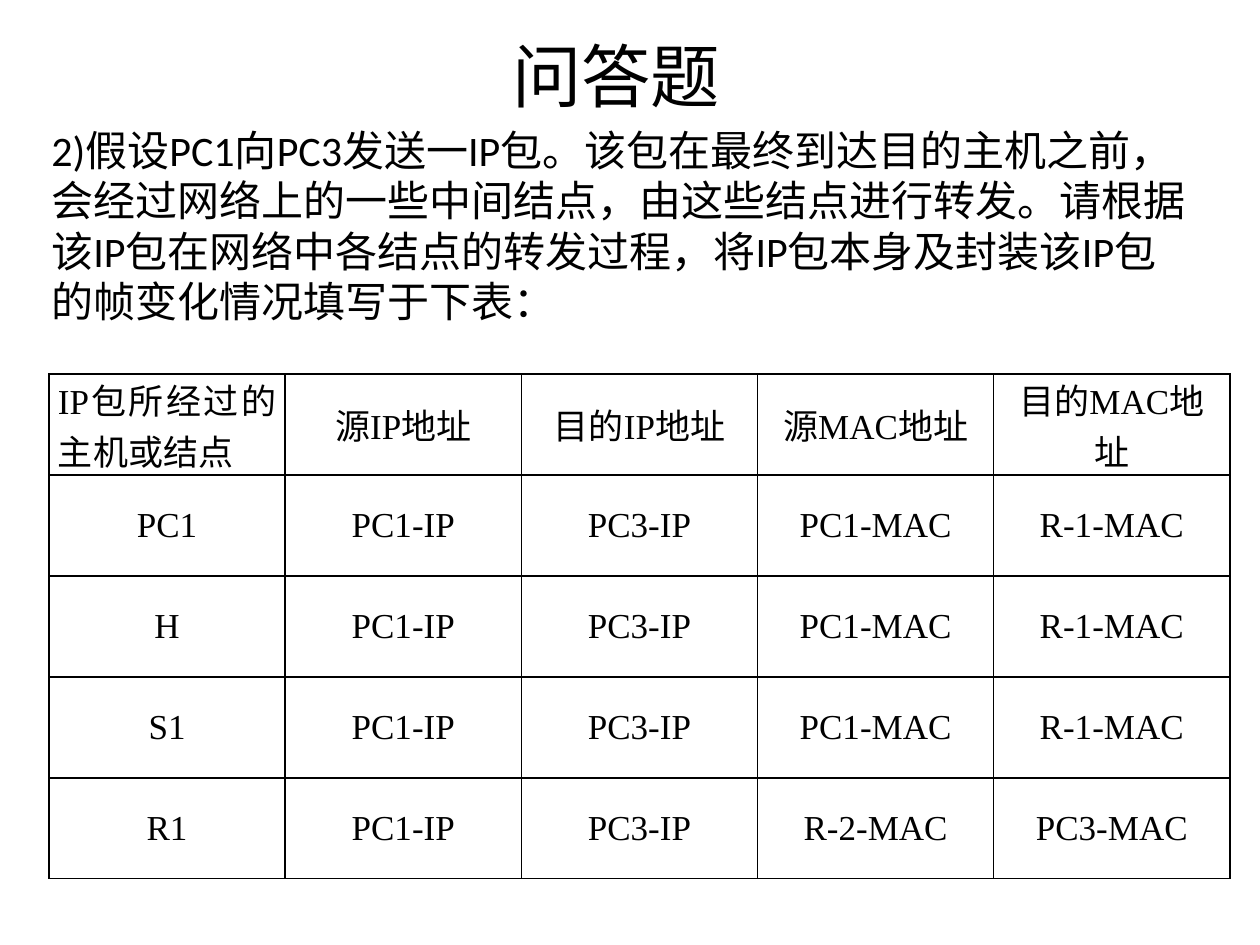
from lxml.etree import SubElement
from pptx import Presentation
from pptx.dml.color import RGBColor
from pptx.enum.text import MSO_ANCHOR, PP_ALIGN
from pptx.oxml import parse_xml
from pptx.oxml.ns import nsdecls, qn
from pptx.util import Emu, Pt

PX = 914400 // 126
BLACK = "000000"


def px(n):
    return Emu(n * PX)


def color(value):
    return RGBColor.from_string(value)


class SlideBuilder:
    def __init__(self, s, heading_font, table_font):
        self.s = s
        self.heading_font = heading_font
        self.table_font = table_font

    def style(self, p, font, size, align):
        p.font.name = font
        p.font.size = Pt(size)
        p.font.color.rgb = color(BLACK)
        p.alignment = align

    def text(self, box, text, size, align=PP_ALIGN.LEFT, anchor=MSO_ANCHOR.TOP):
        tf = self.s.shapes.add_textbox(*map(px, box)).text_frame
        tf.word_wrap = True
        tf.vertical_anchor = anchor
        p = tf.paragraphs[0]
        r = p.add_run()
        r.text = text
        self.style(p, self.heading_font, size, align)
        # East Asian glyphs follow the same font, which sets the line height
        ea = SubElement(r._r.get_or_add_rPr(), qn("a:ea"))
        ea.set("typeface", self.heading_font)

    def border(self, cell, width=1):
        tcPr = cell._tc.get_or_add_tcPr()
        for i, side in enumerate(("lnL", "lnR", "lnT", "lnB")):
            tcPr.insert(i, parse_xml(
                f'<a:{side} {nsdecls("a")} w="{Pt(width)}"><a:solidFill>'
                f'<a:srgbClr val="{BLACK}"/></a:solidFill></a:{side}>'))

    def table(self, left, top, width, row_height, rows, size):
        box = (left, top, width, row_height * len(rows))
        table = self.s.shapes.add_table(len(rows), len(rows[0]), *map(px, box)).table
        for i, values in enumerate(rows):
            for j, value in enumerate(values):
                cell = table.cell(i, j)
                corner = i == j == 0
                cell.text = value
                cell.fill.background()
                cell.margin_left = cell.margin_right = px(9)
                cell.margin_top = cell.margin_bottom = 0
                cell.vertical_anchor = MSO_ANCHOR.TOP if corner else MSO_ANCHOR.MIDDLE
                p = cell.text_frame.paragraphs[0]
                self.style(p, self.table_font, size,
                           PP_ALIGN.JUSTIFY if corner else PP_ALIGN.CENTER)
                p.font.bold = False
                self.border(cell)


def main():
    prs = Presentation()
    prs.slide_width, prs.slide_height = px(1260), px(945)
    s = prs.slides.add_slide(prs.slide_layouts[6])
    builder = SlideBuilder(s, "Calibri", "Times New Roman")

    builder.text((49, 29, 1134, 91), "问答题", 39.6, PP_ALIGN.CENTER, MSO_ANCHOR.MIDDLE)
    builder.text((39, 118, 1162, 777),
                 "2)假设PC1向PC3发送一IP包。该包在最终到达目的主机之前，"
                 "会经过网络上的一些中间结点，由这些结点进行转发。"
                 "请根据该IP包在网络中各结点的转发过程，"
                 "将IP包本身及封装该IP包的帧变化情况填写于下表：", 24)

    header = ["IP包所经过的主机或结点", "源IP地址", "目的IP地址", "源MAC地址", "目的MAC地址"]
    hops = [(node, "PC1-MAC", "R-1-MAC") for node in ("PC1", "H", "S1")]
    hops.append(("R1", "R-2-MAC", "PC3-MAC"))
    rows = [header] + [[node, "PC1-IP", "PC3-IP", source, target]
                       for node, source, target in hops]
    builder.table(49, 374, 1181, 101, rows, 20)
    prs.save("out.pptx")


if __name__ == "__main__":
    main()
